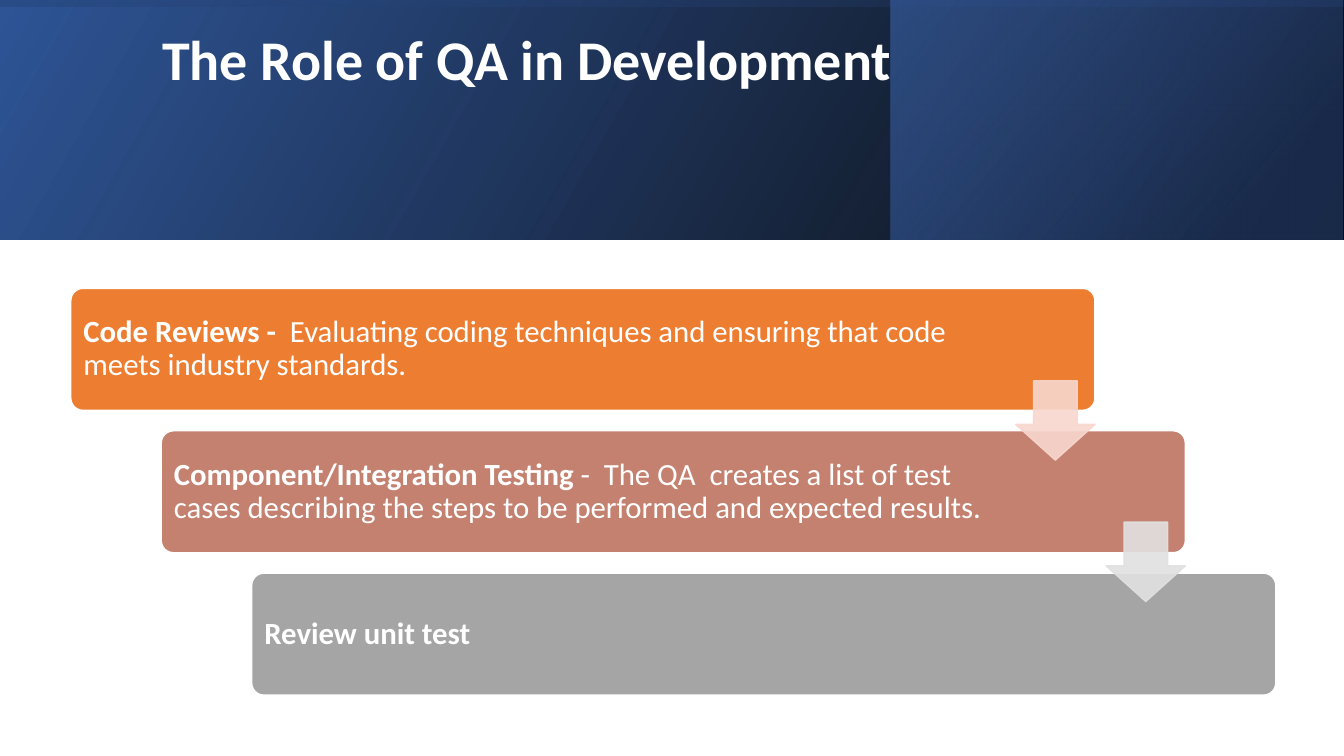
from pptx import Presentation
from pptx.dml.color import RGBColor
from pptx.enum.shapes import MSO_SHAPE
from pptx.enum.text import MSO_ANCHOR, MSO_AUTO_SIZE, PP_ALIGN
from pptx.oxml.ns import qn
from pptx.util import Pt
from lxml import etree

RECTANGLE = MSO_SHAPE.RECTANGLE
ROUNDED = MSO_SHAPE.ROUNDED_RECTANGLE
DOWN_ARROW = MSO_SHAPE.DOWN_ARROW
TOP = MSO_ANCHOR.TOP
MIDDLE = MSO_ANCHOR.MIDDLE
LEFT = PP_ALIGN.LEFT
NO_AUTOFIT = MSO_AUTO_SIZE.NONE

WHITE = RGBColor(0xFF, 0xFF, 0xFF)
BLACK = RGBColor(0x00, 0x00, 0x00)
NAVY = RGBColor(0x20, 0x38, 0x64)
DEEP_BLUE = RGBColor(0x2F, 0x55, 0x97)
BLUE = RGBColor(0x44, 0x72, 0xC4)
ORANGE = RGBColor(0xED, 0x7D, 0x31)
CLAY = RGBColor(0xC4, 0x81, 0x70)
GREY = RGBColor(0xA5, 0xA5, 0xA5)
PALE_CLAY = RGBColor(0xF8, 0xD7, 0xCE)
PALE_GREY = RGBColor(0xE1, 0xE1, 0xE1)

FONT = "Calibri"
SLIDE_WIDTH, SLIDE_HEIGHT = 960, 540
BAND_HEIGHT = 170.8
BAND_MIDDLE = (SLIDE_WIDTH - BAND_HEIGHT) / 2


def add_plain_shape(kind, left, top, width, height):
    shape = page.shapes.add_shape(kind, Pt(left), Pt(top), Pt(width), Pt(height))
    shape.shadow.inherit = False
    return shape


def set_opacity(shape, percents):
    colours = shape._element.spPr.iter(qn("a:srgbClr"))
    for colour, percent in zip(colours, percents):
        etree.SubElement(colour, qn("a:alpha"), val=str(percent * 1000))


deck = Presentation()
deck.slide_width = Pt(SLIDE_WIDTH)
deck.slide_height = Pt(SLIDE_HEIGHT)
page = deck.slides.add_slide(deck.slide_layouts[5])

bands = [
    ((0, 0, SLIDE_WIDTH, BAND_HEIGHT), 0, 30,
     [(0, BLACK, 96), (1, DEEP_BLUE, 100)]),
    ((636.2, 0, 322.8, BAND_HEIGHT), 0, 40,
     [(0.19, NAVY, 68), (1, BLUE, 48)]),
    ((BAND_MIDDLE, -BAND_MIDDLE, BAND_HEIGHT, SLIDE_WIDTH), 270, 10,
     [(0.23, DEEP_BLUE, 16), (0.99, BLACK, 45)]),
]
for frame, rotation, angle, stops in bands:
    band = add_plain_shape(RECTANGLE, *frame)
    band.rotation = rotation
    band._element.spPr.xfrm.set("flipH", "1")
    band.line.fill.background()
    band.fill.gradient()
    band.fill.gradient_angle = angle
    for stop, (position, colour, opacity) in zip(band.fill.gradient_stops, stops):
        stop.position = position
        stop.color.rgb = colour
    set_opacity(band, [opacity for position, colour, opacity in stops])

title = page.shapes.title
title.left, title.top, title.width, title.height = Pt(108.7), Pt(23), Pt(765.4), Pt(124)
page.shapes._spTree.append(title._element)
frame = title.text_frame
frame.text = "The Role of QA in Development"
frame.word_wrap = True
frame.auto_size = NO_AUTOFIT
frame.vertical_anchor = TOP
frame.margin_top = Pt(0)
para = frame.paragraphs[0]
para.alignment = LEFT
para.line_spacing = 0.9
para.font.name = FONT
para.font.size = Pt(40)
para.font.bold = True
para.font.color.rgb = WHITE

steps = [
    (ORANGE, 95.5, "Code Reviews - ",
     " Evaluating coding techniques and ensuring that code meets industry standards."),
    (CLAY, 128, "Component/Integration Testing",
     " -  The QA  creates a list of test cases describing the steps to be performed"
     " and expected results."),
    (GREY, 128, "Review unit test", ""),
]
for index, (colour, right_margin, heading, detail) in enumerate(steps):
    box = add_plain_shape(ROUNDED, 50.6 + 64.6 * index, 206 + 101.7 * index, 731.5, 87.1)
    box.adjustments[0] = 0.1
    box.fill.solid()
    box.fill.fore_color.rgb = colour
    box.line.color.rgb = WHITE
    box.line.width = Pt(1)
    frame = box.text_frame
    frame.word_wrap = True
    frame.vertical_anchor = MIDDLE
    frame.margin_left = frame.margin_top = frame.margin_bottom = Pt(6.5)
    frame.margin_right = Pt(right_margin)
    para = frame.paragraphs[0]
    para.alignment = LEFT
    para.line_spacing = 0.9
    para.font.name = FONT
    para.font.size = Pt(22)
    para.font.color.rgb = WHITE
    span = para.add_run()
    span.text = heading
    span.font.bold = True
    if detail:
        para.add_run().text = detail

for index, colour in enumerate([PALE_CLAY, PALE_GREY]):
    arrow = add_plain_shape(DOWN_ARROW, 725.5 + 64.6 * index, 272 + 101 * index, 56.7, 56.7)
    arrow.adjustments[0] = 0.45
    arrow.adjustments[1] = 0.45
    arrow.adjustments[0] = 0.55
    arrow.fill.solid()
    arrow.fill.fore_color.rgb = colour
    arrow.line.color.rgb = colour
    arrow.line.width = Pt(1)
    set_opacity(arrow, [90, 90])

deck.save("out.pptx")
